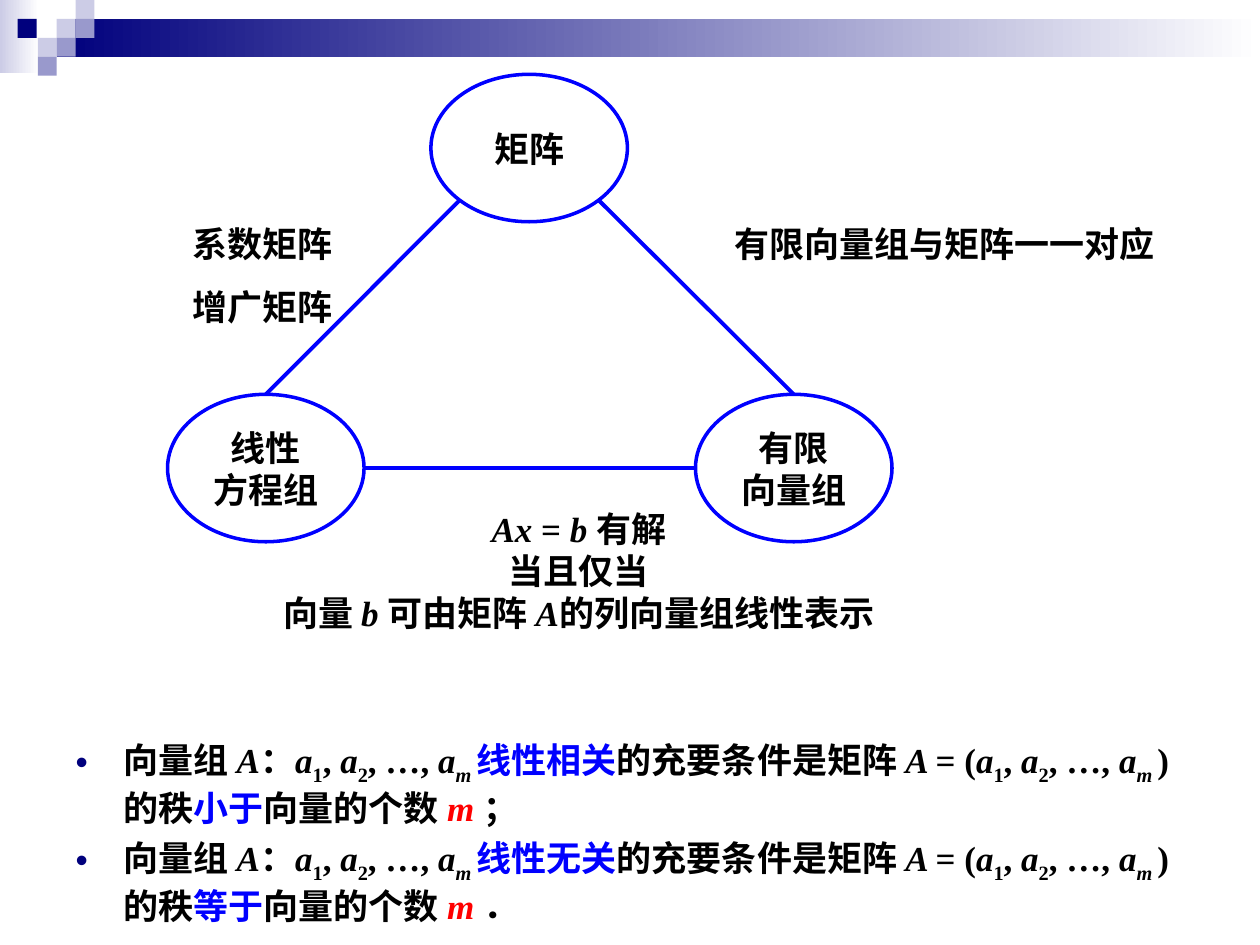
"""Build the slide relating matrices, linear systems and finite vector groups."""
import pptx
import pptx.dml.color
import pptx.enum.shapes
import pptx.enum.text
import pptx.oxml.ns
import pptx.util
from lxml import etree

Inches, Pt = pptx.util.Inches, pptx.util.Pt
MSO_SHAPE = pptx.enum.shapes.MSO_SHAPE
ALIGN = pptx.enum.text.PP_ALIGN
SERIF, CJK = "Times New Roman", "Noto Sans CJK SC"
NAVY, LILAC, PALE, WHITE = "00007D", "9999CC", "CCCCE6", "FFFFFF"
BLUE, RED, BLACK = "0000FF", "FF0000", "000000"

BARS = [((0, 0, 0.31, 0.58), PALE), ((0.45, 0.15, 9.55, 0.3), NAVY)]
SQUARES = [(0.45, 0.15, PALE), (0.6, 0, PALE), (0.6, 0.15, LILAC), (0.3, 0.3, PALE),
           (0.14, 0.15, NAVY), (0.45, 0.3, LILAC), (0.3, 0.45, LILAC)]
SQUARE = 0.15

NODE_W, NODE_H = 1.56, 1.17
NODES = {
    "matrix": (3.42, 0.59, ["矩阵"]),
    "system": (1.33, 3.13, ["线性", "方程组"]),
    "vectors": (5.52, 3.13, ["有限", "向量组"]),
}
DIAGONAL = 0.5 ** 0.5
EDGES = [
    ("matrix", (-DIAGONAL, DIAGONAL), "system", (0, -1)),
    ("matrix", (DIAGONAL, DIAGONAL), "vectors", (0, -1)),
    ("system", (1, 0), "vectors", (-1, 0)),
]

LABELS = [
    ((1.43, 1.72, 1.31, 0.94), CJK, ALIGN.LEFT, [[("系数矩阵", "")], [("增广矩阵", "")]]),
    ((5.73, 1.72, 3.54, 0.44), CJK, ALIGN.LEFT, [[("有限向量组与矩阵一一对应", "")]]),
    ((1.94, 3.98, 5.31, 1.1), SERIF, ALIGN.CENTER, [
        [("Ax", "i"), (" = ", ""), ("b ", "i"), ("有解", "")],
        [("当且仅当", "")],
        [("向量 ", ""), ("b ", "i"), ("可由矩阵 ", ""), ("A", "i"), ("的列向量组线性表示", "")],
    ]),
]

VECTORS = [("a", "i"), ("1", "s"), (", ", ""), ("a", "i"), ("2", "s"), (", …, ", ""),
           ("a", "i"), ("m ", "is")]
CRITERIA = [("线性相关", "小于", "；"), ("线性无关", "等于", "．")]


def color(value):
    return pptx.dml.color.RGBColor.from_string(value)


def criterion(property_name, comparison, ending):
    return [("向量组 ", ""), ("A", "i"), ("：", ""), *VECTORS, (property_name, "b"),
            ("的充要条件是矩阵 ", ""), ("A ", "i"), ("= (", ""), *VECTORS, (") 的秩", ""),
            (comparison, "b"), ("向量的个数 ", ""), ("m ", "ir"), (ending, "")]


def write(tf, paragraphs, font=SERIF, align=ALIGN.LEFT):
    """Write runs with style flags: i italic, s subscript, b blue, r red."""
    for n, runs in enumerate(paragraphs):
        p = tf.paragraphs[0] if n == 0 else tf.add_paragraph()
        p.alignment = align
        for text, style in runs:
            r = p.add_run()
            r.text = text
            r.font.size, r.font.bold, r.font.italic = Pt(20), True, "i" in style
            r.font.name = font
            r.font.color.rgb = color(BLUE if "b" in style else RED if "r" in style else BLACK)
            rPr = r._r.get_or_add_rPr()
            etree.SubElement(rPr, pptx.oxml.ns.qn("a:ea")).set("typeface", CJK)
            if "s" in style:
                rPr.set("baseline", "-25000")


def add_rect(s, box):
    sp = s.shapes.add_shape(MSO_SHAPE.RECTANGLE, *map(Inches, box))
    sp.shadow.inherit = False
    sp.line.fill.background()
    return sp


def add_banner(s):
    for box, start in BARS:
        fill = add_rect(s, box).fill
        fill.gradient()
        fill.gradient_angle = 0
        for stop, value in zip(fill.gradient_stops, (start, WHITE)):
            stop.color.rgb = color(value)
    for x, y, value in SQUARES:
        fill = add_rect(s, (x, y, SQUARE, SQUARE)).fill
        fill.solid()
        fill.fore_color.rgb = color(value)


def anchor(name, direction):
    x, y, _ = NODES[name]
    dx, dy = direction
    return Inches(x + NODE_W / 2 * (1 + dx)), Inches(y + NODE_H / 2 * (1 + dy))


def add_diagram(s):
    for x, y, lines in NODES.values():
        sp = s.shapes.add_shape(MSO_SHAPE.OVAL, *map(Inches, (x, y, NODE_W, NODE_H)))
        sp.shadow.inherit = False
        sp.fill.background()
        sp.line.color.rgb, sp.line.width = color(BLUE), Pt(2)
        sp.text_frame.vertical_anchor = pptx.enum.text.MSO_ANCHOR.MIDDLE
        write(sp.text_frame, [[(line, "")] for line in lines], align=ALIGN.CENTER)
    for start, leaving, end, arriving in EDGES:
        line = s.shapes.add_connector(pptx.enum.shapes.MSO_CONNECTOR.STRAIGHT,
                                      *anchor(start, leaving), *anchor(end, arriving))
        line.line.color.rgb, line.line.width = color(BLUE), Pt(2.25)
        etree.SubElement(line._element.spPr, pptx.oxml.ns.qn("a:effectLst"))


def add_labels(s):
    for box, font, align, paragraphs in LABELS:
        tf = s.shapes.add_textbox(*map(Inches, box)).text_frame
        tf.word_wrap = False
        write(tf, paragraphs, font, align)
        if font == CJK and len(paragraphs) > 1:
            tf.paragraphs[1].line_spacing = 1.5


def add_criteria(body):
    body.left, body.top, body.width, body.height = map(Inches, (0.5, 5.81, 9, 1.69))
    tf = body.text_frame
    tf.auto_size = pptx.enum.text.MSO_AUTO_SIZE.NONE
    write(tf, [criterion(*c) for c in CRITERIA])
    for n, p in enumerate(tf.paragraphs):
        pPr = p._p.get_or_add_pPr()
        pPr.set("marL", str(Inches(0.38)))
        pPr.set("indent", str(Inches(-0.38)))
        bullet_color = etree.SubElement(pPr, pptx.oxml.ns.qn("a:buClr"))
        etree.SubElement(bullet_color, pptx.oxml.ns.qn("a:srgbClr")).set("val", NAVY)
        etree.SubElement(pPr, pptx.oxml.ns.qn("a:buChar")).set("char", "•")
        p.space_before = Pt(5 if n else 0)


def main():
    prs = pptx.Presentation()
    prs.slide_width, prs.slide_height = Inches(10), Inches(7.5)
    s = prs.slides.add_slide(prs.slide_layouts[1])
    title = s.shapes.title._element
    title.getparent().remove(title)
    add_banner(s)
    add_diagram(s)
    add_labels(s)
    add_criteria(s.placeholders[1])
    prs.save("out.pptx")


if __name__ == "__main__":
    main()
